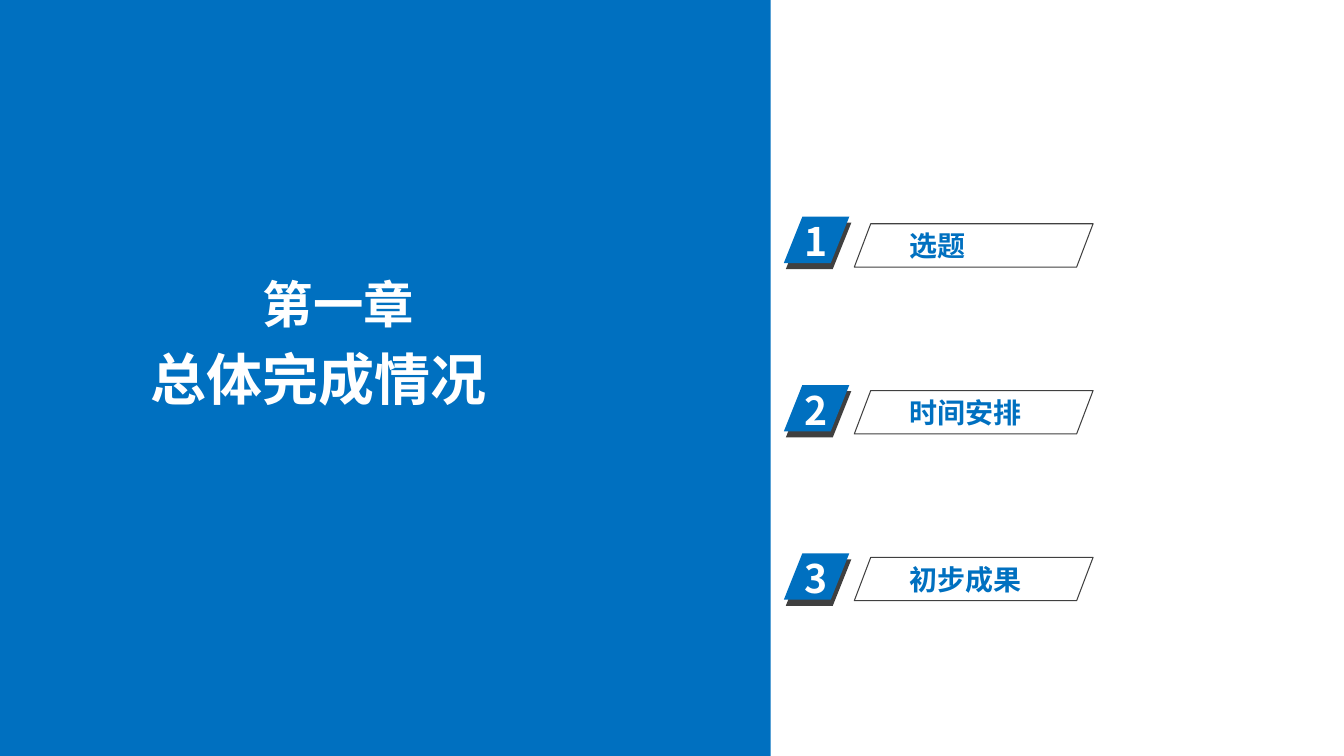
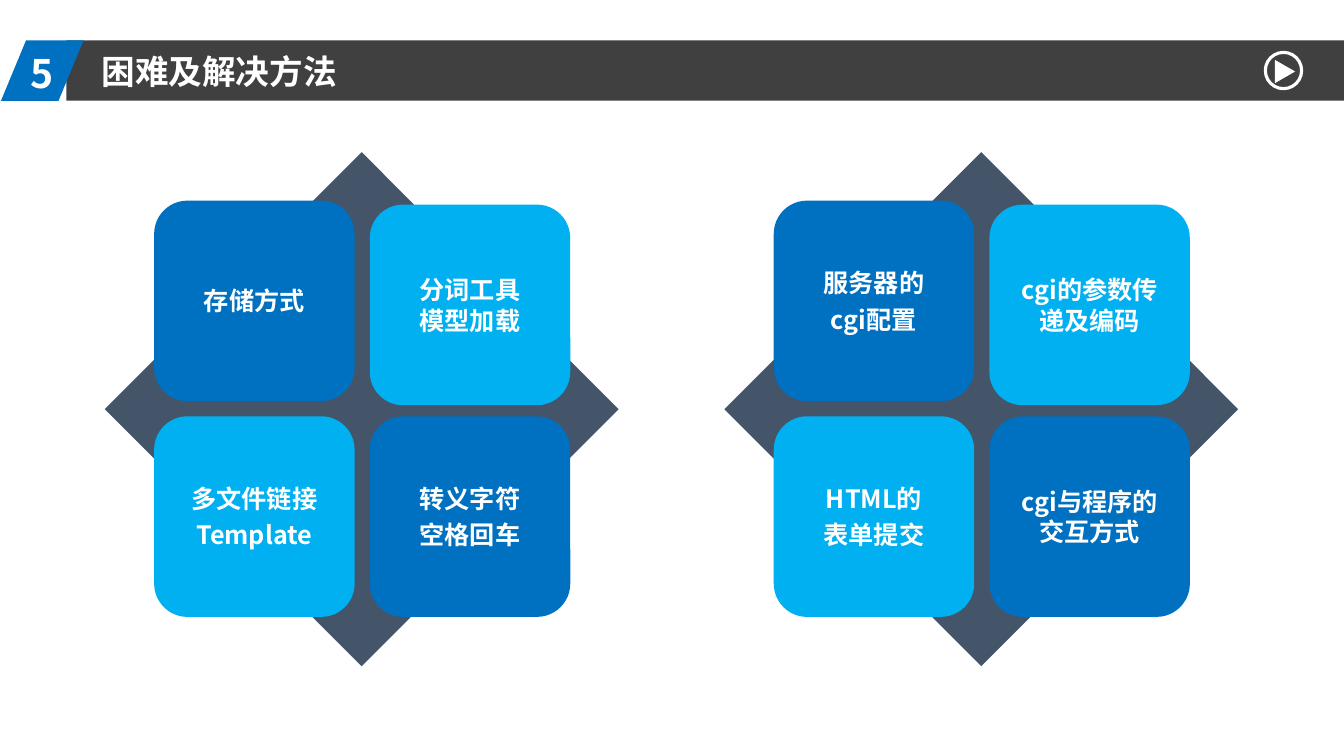
from pptx import Presentation
from pptx.dml.color import RGBColor
from pptx.enum.shapes import MSO_SHAPE
from pptx.enum.text import MSO_ANCHOR, PP_ALIGN
from pptx.oxml.ns import qn
from pptx.util import Inches, Pt

RECTANGLE = MSO_SHAPE.RECTANGLE
PARALLELOGRAM = MSO_SHAPE.PARALLELOGRAM
ROUNDED = MSO_SHAPE.ROUNDED_RECTANGLE
DIAMOND = MSO_SHAPE.DIAMOND
OVAL = MSO_SHAPE.OVAL
TRIANGLE = MSO_SHAPE.ISOSCELES_TRIANGLE
CENTER = PP_ALIGN.CENTER
MIDDLE = MSO_ANCHOR.MIDDLE

BLUE = RGBColor(0x00, 0x70, 0xC0)
SKY = RGBColor(0x00, 0xB0, 0xF0)
CHARCOAL = RGBColor(0x40, 0x40, 0x40)
SLATE = RGBColor(0x44, 0x54, 0x69)
WHITE = RGBColor(0xFF, 0xFF, 0xFF)
FONT = "Noto Sans CJK SC"

SECTIONS = ["选题", "时间安排", "初步成果"]
TILE = 1.99
TILE_PITCH = 2.14
TILE_INSET = 0.22
NARROW_INSET = 0.28
CLUSTERS = [
    (1.04, [("存储方式", TILE_INSET), ("分词工具模型加载", NARROW_INSET),
            ("多文件链接\nTemplate", TILE_INSET), ("转义字符\n空格回车", TILE_INSET)]),
    (7.19, [("服务器的\ncgi配置", TILE_INSET), ("cgi的参数传递及编码", TILE_INSET),
            ("HTML的\n表单提交", TILE_INSET), ("cgi与程序的交互方式", TILE_INSET)]),
]


def add_block(slide, kind, left, top, width, height, fill=None, line=None, weight=0.75, adj=None):
    """Add a flat preset shape."""
    block = slide.shapes.add_shape(kind, Inches(left), Inches(top), Inches(width), Inches(height))
    block.shadow.inherit = False
    if fill is None:
        block.fill.background()
    else:
        block.fill.solid()
        block.fill.fore_color.rgb = fill
    if line is None:
        block.line.fill.background()
    else:
        block.line.color.rgb = line
        block.line.width = Pt(weight)
    if adj is not None:
        block.adjustments[0] = adj
    return block


def style_text(frame, size, color):
    """Apply the bold deck font to every run of a frame."""
    for paragraph in frame.paragraphs:
        for run in paragraph.runs:
            font = run.font
            font.name, font.size, font.bold = FONT, Pt(size), True
            font.color.rgb = color
            east_asian = font._element.makeelement(qn("a:ea"), {"typeface": FONT})
            font._element.find(qn("a:latin")).addnext(east_asian)


def add_text(slide, text, left, top, width, height, size, color=WHITE):
    """Add a left-aligned text box."""
    box = slide.shapes.add_textbox(Inches(left), Inches(top), Inches(width), Inches(height))
    box.text_frame.word_wrap = True
    box.text_frame.text = text
    style_text(box.text_frame, size, color)


def add_section(slide, index, label):
    """Add a numbered entry of the chapter list."""
    badge_top = 2.15 + 1.67 * index
    frame_top = 2.22 + 1.655 * index
    add_block(slide, PARALLELOGRAM, 7.8, badge_top + 0.06, 0.65, 0.46, CHARCOAL, adj=0.4)
    add_block(slide, PARALLELOGRAM, 7.78, badge_top, 0.65, 0.46, BLUE, adj=0.4)
    add_text(slide, str(index + 1), 7.89, badge_top - 0.04, 0.69, 0.57, 28)
    add_block(slide, PARALLELOGRAM, 8.48, frame_top, 2.37, 0.43, line=CHARCOAL, adj=0.38)
    add_text(slide, label, 8.93, frame_top, 3.03, 0.44, 20, BLUE)


def add_header(slide, number, title):
    """Add the title band with its number and play button."""
    add_block(slide, RECTANGLE, 0.66, 0.4, 12.68, 0.6, CHARCOAL)
    add_block(slide, PARALLELOGRAM, 0.01, 0.4, 0.82, 0.6, BLUE, adj=0.415)
    add_text(slide, number, 0.2, 0.44, 0.69, 0.57, 28)
    add_text(slide, title, 0.91, 0.46, 4, 0.5, 24)
    add_block(slide, OVAL, 12.56, 0.52, 0.36, 0.36, line=WHITE, weight=2.25)
    add_block(slide, TRIANGLE, 12.64, 0.61, 0.23, 0.2, WHITE).rotation = 90


def add_tile(slide, text, left, top, fill, inset):
    """Add a rounded tile with centred text."""
    tile = add_block(slide, ROUNDED, left, top, TILE, TILE, fill, adj=0.166)
    frame = tile.text_frame
    frame.word_wrap = True
    frame.vertical_anchor = MIDDLE
    frame.margin_left = frame.margin_right = Inches(inset)
    frame.margin_top = frame.margin_bottom = 0
    frame.text = text
    for paragraph in frame.paragraphs:
        paragraph.alignment = CENTER
        paragraph.space_before = Pt(4.5)
    style_text(frame, 18, WHITE)


def add_cluster(slide, left, tiles):
    """Add a diamond carrying a two by two grid of tiles."""
    add_block(slide, DIAMOND, left, 1.51, 5.1, 5.1, SLATE)
    for index, (text, inset) in enumerate(tiles):
        row, column = divmod(index, 2)
        drop = 0.04 if (row, column) == (0, 1) else 0
        add_tile(slide, text, left + 0.49 + column * TILE_PITCH, 1.99 + row * TILE_PITCH + drop,
                 BLUE if row == column else SKY, inset)


def build_chapter(slide):
    """Build the chapter opener."""
    add_block(slide, RECTANGLE, 0, 0, 7.65, 7.5, BLUE)
    add_text(slide, "第一章", 2.51, 2.66, 1.81, 0.7, 36)
    add_text(slide, "总体完成情况", 1.4, 3.37, 3.77, 0.77, 40)
    for index, label in enumerate(SECTIONS):
        add_section(slide, index, label)


def build_difficulties(slide):
    """Build the slide of difficulties and solutions."""
    add_header(slide, "5", "困难及解决方法")
    for left, tiles in CLUSTERS:
        add_cluster(slide, left, tiles)


def main():
    """Build and save the deck."""
    deck = Presentation()
    deck.slide_width, deck.slide_height = Inches(13.34), Inches(7.5)
    for build in (build_chapter, build_difficulties):
        build(deck.slides.add_slide(deck.slide_layouts[6]))
    deck.save("out.pptx")


if __name__ == "__main__":
    main()
